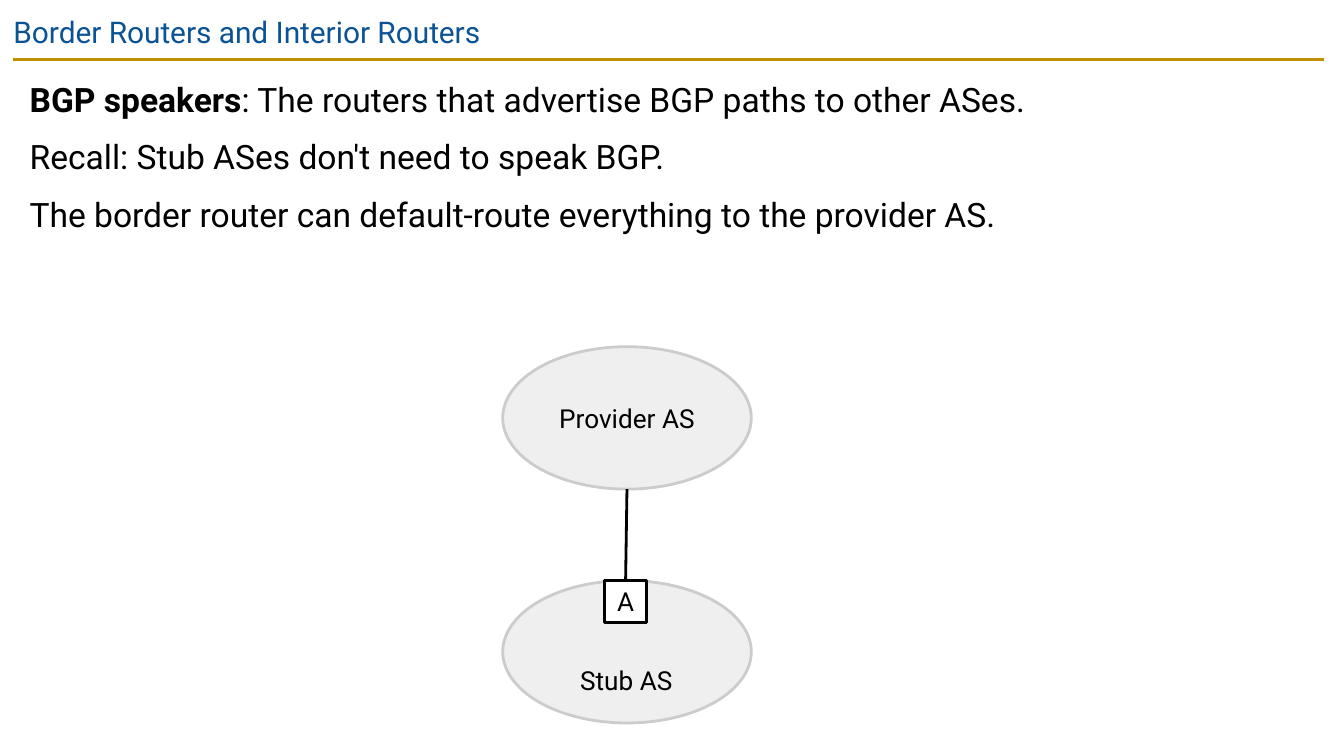
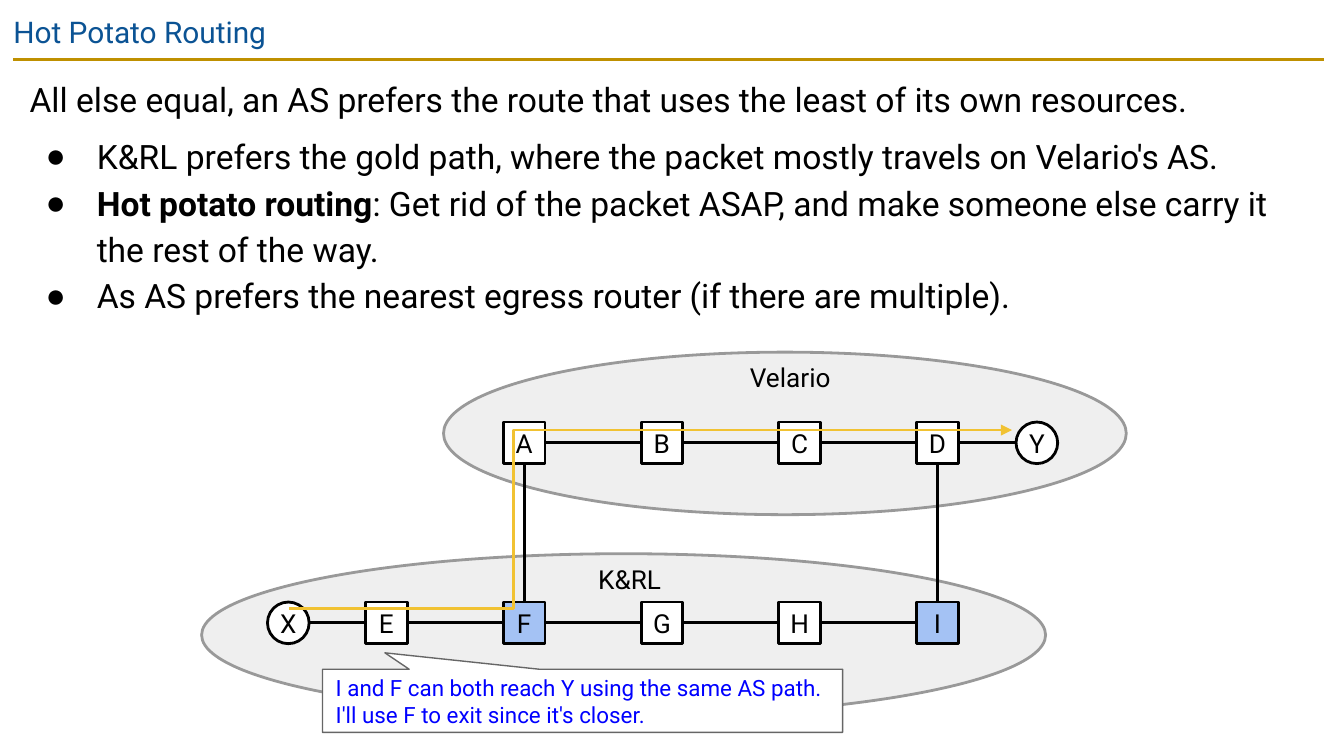
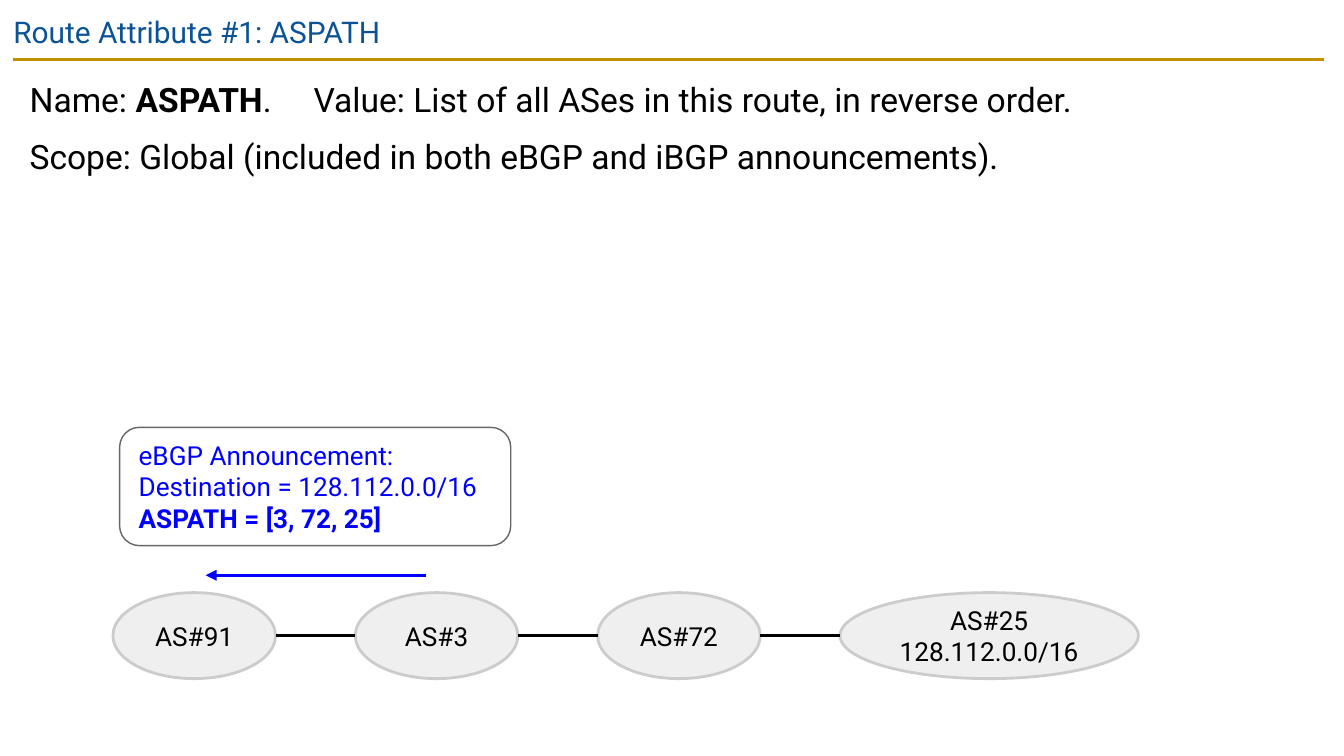
from lxml import etree
from pptx import Presentation
from pptx.dml.color import RGBColor
from pptx.enum.shapes import MSO_CONNECTOR, MSO_SHAPE
from pptx.enum.text import MSO_ANCHOR, MSO_AUTO_SIZE, PP_ALIGN
from pptx.oxml.ns import qn
from pptx.util import Inches, Pt

STRAIGHT = MSO_CONNECTOR.STRAIGHT
RECTANGLE, OVAL = MSO_SHAPE.RECTANGLE, MSO_SHAPE.OVAL
ROUNDED, CALLOUT = MSO_SHAPE.ROUNDED_RECTANGLE, MSO_SHAPE.ROUNDED_RECTANGULAR_CALLOUT
TOP_ANCHOR, MIDDLE_ANCHOR = MSO_ANCHOR.TOP, MSO_ANCHOR.MIDDLE
LEFT_ALIGN, CENTER_ALIGN = PP_ALIGN.LEFT, PP_ALIGN.CENTER
NO_AUTOFIT = MSO_AUTO_SIZE.NONE
TOP, LEFT, BOTTOM, RIGHT = range(4)

FONT = "Roboto"
BLACK = RGBColor(0x00, 0x00, 0x00)
WHITE = RGBColor(0xFF, 0xFF, 0xFF)
TITLE_BLUE = RGBColor(0x0B, 0x53, 0x94)
RULE_GOLD = RGBColor(0xBF, 0x90, 0x00)
PATH_GOLD = RGBColor(0xF1, 0xC2, 0x32)
NOTE_BLUE = RGBColor(0x00, 0x00, 0xFF)
EGRESS_BLUE = RGBColor(0xA4, 0xC2, 0xF4)
AS_FILL = RGBColor(0xEF, 0xEF, 0xEF)
AS_EDGE = RGBColor(0xCC, 0xCC, 0xCC)
AS_DARK_EDGE = RGBColor(0x99, 0x99, 0x99)
NOTE_EDGE = RGBColor(0x66, 0x66, 0x66)

SLIDE_WIDTH = Inches(10)
SLIDE_HEIGHT = SLIDE_WIDTH * 9 // 16
NODE = 0.31


def write(frame, lines, size=14, color=BLACK, align=CENTER_ALIGN,
          anchor=MIDDLE_ANCHOR, margin=0.1):
    """Fill a text frame, one paragraph per line; *stars* enclose bold words."""
    frame.word_wrap = True
    frame.auto_size = NO_AUTOFIT
    frame.vertical_anchor = anchor
    frame.margin_left = frame.margin_right = Inches(margin)
    frame.margin_top = frame.margin_bottom = Inches(margin)
    for number, line in enumerate(lines):
        paragraph = frame.paragraphs[0] if number == 0 else frame.add_paragraph()
        paragraph.alignment = align
        for part, words in enumerate(line.split("*")):
            if not words:
                continue
            run = paragraph.add_run()
            run.text = words
            run.font.name = FONT
            run.font.size = Pt(size)
            run.font.bold = part % 2 == 1
            run.font.color.rgb = color


def set_indent(paragraph, bulleted):
    properties = paragraph._p.get_or_add_pPr()
    properties.set("marL", str(Inches(0.5) if bulleted else 0))
    properties.set("indent", str(Inches(-0.38) if bulleted else 0))
    if bulleted:
        bullet_color = etree.SubElement(properties, qn("a:buClr"))
        etree.SubElement(bullet_color, qn("a:srgbClr"), val=str(BLACK))
        etree.SubElement(properties, qn("a:buChar"), char="●")
    else:
        etree.SubElement(properties, qn("a:buNone"))


def widen_gap(run, points):
    """Stretch a single space by character spacing."""
    run.font.bold = False
    run._r.get_or_add_rPr().set("spc", str(points * 100))


def place(shape, left, top, width, height):
    shape.left, shape.top = Inches(left), Inches(top)
    shape.width, shape.height = Inches(width), Inches(height)


def add_content_slide(prs, title, body_height, statements, bullets=()):
    slide = prs.slides.add_slide(prs.slide_layouts[1])
    write(slide.shapes.title.text_frame, [title], 16, TITLE_BLUE, LEFT_ALIGN, TOP_ANCHOR)
    body = slide.placeholders[1]
    place(body, 0.12, 0.44, 9.74, body_height)
    write(body.text_frame, [*statements, *bullets], 18, BLACK, LEFT_ALIGN, TOP_ANCHOR)
    for number, paragraph in enumerate(body.text_frame.paragraphs):
        paragraph.line_spacing = 1.15
        paragraph.space_before = Pt(6 if number <= len(statements) else 0)
        set_indent(paragraph, number >= len(statements))
    return slide


def style_line(shape, color, points=1.5, arrow=False):
    shape.line.color.rgb = color
    shape.line.width = Pt(points)
    if arrow:
        etree.SubElement(shape.element.find(".//" + qn("a:ln")), qn("a:tailEnd"),
                         type="triangle")


def add_line(slide, start, end, color=BLACK, arrow=False):
    """Draw a straight line between two (x, y) points given as lengths."""
    line = slide.shapes.add_connector(STRAIGHT, *start, *end)
    style_line(line, color, arrow=arrow)
    etree.SubElement(line.element.find(qn("p:spPr")), qn("a:effectLst"))
    return line


def side_middle(shape, side):
    center_x = shape.left + shape.width // 2
    center_y = shape.top + shape.height // 2
    return {TOP: (center_x, shape.top), LEFT: (shape.left, center_y),
            BOTTOM: (center_x, shape.top + shape.height),
            RIGHT: (shape.left + shape.width, center_y)}[side]


def link(slide, first, second, first_side=RIGHT, second_side=LEFT):
    """Link two nodes, joining the line to those that are rectangles."""
    line = add_line(slide, side_middle(first, first_side), side_middle(second, second_side))
    if first.auto_shape_type == RECTANGLE:
        line.begin_connect(first, first_side)
    if second.auto_shape_type == RECTANGLE:
        line.end_connect(second, second_side)


def add_outlined(slide, kind, box, fill, edge, points=1.5):
    shape = slide.shapes.add_shape(kind, *map(Inches, box))
    shape.shadow.inherit = False
    if fill is None:
        shape.fill.background()
    else:
        shape.fill.solid()
        shape.fill.fore_color.rgb = fill
    style_line(shape, edge, points)
    return shape


def add_as(slide, box, lines=(), edge=AS_EDGE):
    """Add the ellipse of an autonomous system."""
    ellipse = add_outlined(slide, OVAL, box, AS_FILL, edge)
    write(ellipse.text_frame, lines)
    return ellipse


def add_node(slide, name, left, top, kind=RECTANGLE, fill=WHITE):
    node = add_outlined(slide, kind, (left, top, NODE, NODE), fill, BLACK)
    write(node.text_frame, [name], margin=0)
    return node


def add_note(slide, kind, box, lines, size, fill=None):
    note = add_outlined(slide, kind, box, fill, NOTE_EDGE, 0.75)
    write(note.text_frame, lines, size, NOTE_BLUE, LEFT_ALIGN)
    return note


def add_label(slide, text, box, margin):
    label = slide.shapes.add_textbox(*map(Inches, box))
    write(label.text_frame, [text], anchor=TOP_ANCHOR, margin=margin)


def add_route(slide, points):
    """Draw a gold arrow through the given points."""
    start, *rest = [(Inches(x), Inches(y)) for x, y in points]
    builder = slide.shapes.build_freeform(*start)
    builder.add_line_segments(rest, close=False)
    route = builder.convert_to_shape()
    route.shadow.inherit = False
    route.fill.background()
    style_line(route, PATH_GOLD, arrow=True)


def prepare_layout(layout):
    for placeholder in list(layout.placeholders):
        if placeholder.placeholder_format.idx > 1:
            placeholder.element.getparent().remove(placeholder.element)
    place(layout.placeholders[0], 0, 0, 9.32, 0.43)


def add_title_rule(slide):
    """Put the gold rule under the title on the layout that the slides share."""
    rule = add_line(slide, (Inches(0.1), Inches(0.44)), (Inches(9.85), Inches(0.44)), RULE_GOLD)
    slide.slide_layout.shapes.element.append(rule.element)


def build_border_routers(prs):
    slide = add_content_slide(prs, "Border Routers and Interior Routers", 1.45, [
        "*BGP speakers*: The routers that advertise BGP paths to other ASes.",
        "Recall: Stub ASes don't need to speak BGP.",
        "The border router can default-route everything to the provider AS.",
    ])
    add_title_rule(slide)
    add_as(slide, (3.74, 4.32, 1.85, 1.06))
    add_label(slide, "Stub AS", (4.14, 4.84, 1.04, 0.44), 0.1)
    border_router = add_node(slide, "A", 4.5, 4.32)
    provider = add_as(slide, (3.74, 2.58, 1.85, 1.06), ["Provider AS"])
    link(slide, provider, border_router, BOTTOM, TOP)


def build_hot_potato(prs):
    slide = add_content_slide(prs, "Hot Potato Routing", 2.1, [
        "All else equal, an AS prefers the route that uses the least of its own resources.",
    ], [
        "K&RL prefers the gold path, where the packet mostly travels on Velario's AS.",
        "*Hot potato routing*: Get rid of the packet ASAP, and make someone else carry it "
        "the rest of the way.",
        "As AS prefers the nearest egress router (if there are multiple).",
    ])
    add_as(slide, (3.3, 2.62, 5.08, 1.21), edge=AS_DARK_EDGE)
    add_label(slide, "Velario", (3.3, 2.66, 5.16, 0.3), 0.03)
    add_as(slide, (1.5, 4.12, 6.28, 1.21), edge=AS_DARK_EDGE)
    add_label(slide, "K&RL", (1.5, 4.16, 6.37, 0.3), 0.03)

    upper_top, lower_top = 3.14, 4.48
    columns = [2.72 + 4.1 * step / 4 for step in range(5)]
    upper = [add_node(slide, name, left, upper_top)
             for name, left in zip("ABCD", columns[1:])]
    lower = [add_node(slide, name, left, lower_top,
                      fill=EGRESS_BLUE if name in "FI" else WHITE)
             for name, left in zip("EFGHI", columns)]
    source = add_node(slide, "X", 1.99, lower_top, OVAL)
    destination = add_node(slide, "Y", 7.56, upper_top, OVAL)
    for row in ([*upper, destination], [source, *lower]):
        for first, second in zip(row, row[1:]):
            link(slide, first, second)
    for border, egress in ((upper[0], lower[1]), (upper[3], lower[4])):
        link(slide, border, egress, BOTTOM, TOP)

    thought = add_note(slide, CALLOUT, (2.4, 4.98, 3.87, 0.47), [
        "I and F can both reach Y using the same AS path.",
        "I'll use F to exit since it's closer.",
    ], 12, WHITE)
    for index, value in enumerate((-0.38, -0.76, 0)):
        thought.adjustments[index] = value
    add_route(slide, [(2.15, 4.53), (3.82, 4.53), (3.82, 3.2), (7.53, 3.2)])


def build_aspath(prs):
    slide = add_content_slide(prs, "Route Attribute #1: ASPATH", 1.81, [
        "Name: *ASPATH*.* *Value: List of all ASes in this route, in reverse order.",
        "Scope: Global (included in both eBGP and iBGP announcements).",
    ])
    widen_gap(slide.placeholders[1].text_frame.paragraphs[0].runs[3], 18)
    systems = [(["AS#91"], 1.21), (["AS#3"], 1.21), (["AS#72"], 1.21),
               (["AS#25", "128.112.0.0/16"], 2.22)]
    chain = [add_as(slide, (0.84 + 5.41 * step / 3, 4.41, width, 0.64), lines)
             for step, (lines, width) in enumerate(systems)]
    for first, second in zip(chain, chain[1:]):
        link(slide, first, second)
    add_line(slide, (Inches(3.17), Inches(4.28)), (Inches(1.53), Inches(4.28)),
             NOTE_BLUE, arrow=True)
    add_note(slide, ROUNDED, (0.89, 3.18, 2.91, 0.88), [
        "eBGP Announcement:",
        "Destination = 128.112.0.0/16",
        "*ASPATH = [3, 72, 25]*",
    ], 14)


def main():
    prs = Presentation()
    prs.slide_width, prs.slide_height = SLIDE_WIDTH, SLIDE_HEIGHT
    prepare_layout(prs.slide_layouts[1])
    build_border_routers(prs)
    build_hot_potato(prs)
    build_aspath(prs)
    prs.save("out.pptx")


if __name__ == "__main__":
    main()
